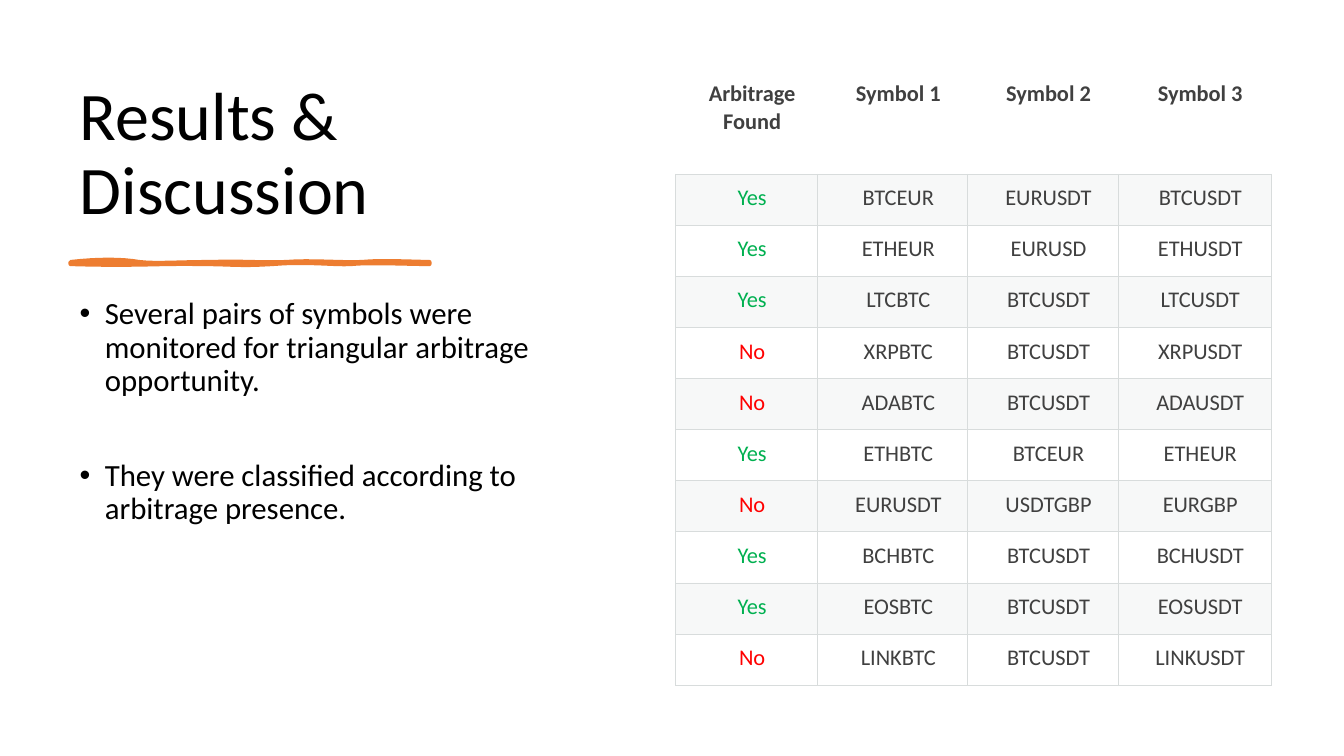
from dataclasses import dataclass

from lxml import etree
from pptx import Presentation
from pptx.dml.color import RGBColor
from pptx.enum.text import MSO_ANCHOR, MSO_AUTO_SIZE, PP_ALIGN
from pptx.oxml.ns import qn
from pptx.util import Emu, Inches, Pt

LEFT, CENTER = PP_ALIGN.LEFT, PP_ALIGN.CENTER
TOP, BOTTOM = MSO_ANCHOR.TOP, MSO_ANCHOR.BOTTOM
NO_FIT = MSO_AUTO_SIZE.NONE

FONT = "Calibri"
COLORS = {
    "text": "000000",
    "cell": "404040",
    "Yes": "00B050",
    "No": "FF0000",
    "accent": "ED7D31",
    "border": "D8DCDC",
    "band": "D8DEDC",
}
HEADERS = ["Arbitrage Found", "Symbol 1", "Symbol 2", "Symbol 3"]
COLUMN_WIDTHS = [1.41, 1.49, 1.49, 1.52]
HEADER_HEIGHT = 1.03
BULLETS = [
    "Several pairs of symbols were monitored for triangular arbitrage opportunity.",
    "They were classified according to arbitrage presence.",
]
UNDERLINE_START = (0.7, 2.6)
UNDERLINE_CURVES = [
    ((0.97, 2.57), (1.21, 2.57), (1.38, 2.6)),
    ((1.55, 2.62), (1.77, 2.6), (2.09, 2.6)),
    ((2.41, 2.59), (2.6, 2.61), (2.84, 2.6)),
    ((3.08, 2.58), (3.39, 2.61), (3.59, 2.6)),
    ((3.79, 2.58), (4.12, 2.6), (4.26, 2.6)),
    ((4.26, 2.6), (4.26, 2.61), (4.26, 2.62)),
    ((4.08, 2.62), (3.64, 2.6), (3.48, 2.62)),
    ((3.32, 2.63), (3.04, 2.59), (2.7, 2.62)),
    ((2.35, 2.64), (2.31, 2.62), (1.99, 2.62)),
    ((1.66, 2.61), (1.32, 2.64), (0.7, 2.62)),
]


@dataclass(frozen=True)
class Box:
    left: float
    top: float
    width: float
    height: float

    def lengths(self) -> list[Emu]:
        return [Inches(v) for v in (self.left, self.top, self.width, self.height)]


@dataclass(frozen=True)
class Result:
    found: str
    symbols: tuple[str, str, str]


TITLE_BOX = Box(0.69, 0.7, 5.27, 1.62)
BODY_BOX = Box(0.69, 2.91, 5.27, 3.88)
TABLE_BOX = Box(6.7, 0.7, 5.91, 6.1)
RESULTS = [
    Result("Yes", ("BTCEUR", "EURUSDT", "BTCUSDT")),
    Result("Yes", ("ETHEUR", "EURUSD", "ETHUSDT")),
    Result("Yes", ("LTCBTC", "BTCUSDT", "LTCUSDT")),
    Result("No", ("XRPBTC", "BTCUSDT", "XRPUSDT")),
    Result("No", ("ADABTC", "BTCUSDT", "ADAUSDT")),
    Result("Yes", ("ETHBTC", "BTCEUR", "ETHEUR")),
    Result("No", ("EURUSDT", "USDTGBP", "EURGBP")),
    Result("Yes", ("BCHBTC", "BTCUSDT", "BCHUSDT")),
    Result("Yes", ("EOSBTC", "BTCUSDT", "EOSUSDT")),
    Result("No", ("LINKBTC", "BTCUSDT", "LINKUSDT")),
]


def rgb(name: str) -> RGBColor:
    return RGBColor.from_string(COLORS[name])


def format_paragraph(p, size: float, color: str, align, bold: bool = False) -> None:
    p.alignment = align
    p.font.name = FONT
    p.font.size = Pt(size)
    p.font.bold = bold
    p.font.color.rgb = rgb(color)


def place(sp, box: Box, anchor):
    sp.left, sp.top, sp.width, sp.height = box.lengths()
    tf = sp.text_frame
    tf.word_wrap = True
    tf.auto_size = NO_FIT
    tf.vertical_anchor = anchor
    return tf


def draw_title(s) -> None:
    tf = place(s.shapes.title, TITLE_BOX, BOTTOM)
    tf.text = "Results & Discussion"
    p = tf.paragraphs[0]
    p.line_spacing = 0.9
    format_paragraph(p, 48.6, "text", LEFT)


def draw_bullets(s) -> None:
    tf = place(s.placeholders[1], BODY_BOX, TOP)
    tf.text = "\n".join(BULLETS)
    indent = Inches(0.25)
    for i, p in enumerate(tf.paragraphs):
        format_paragraph(p, 22, "text", LEFT)
        p.line_spacing = 0.9
        p.space_before = Pt(44 if i else 10)
        pPr = p._p.get_or_add_pPr()
        pPr.set("marL", str(indent))
        pPr.set("indent", str(-indent))


def curve_points(start, curves, steps: int = 8) -> list[tuple[Emu, Emu]]:
    points = []
    for a, b, end in curves:
        for i in range(1, steps + 1):
            t = i / steps
            u = 1 - t
            weights = (u**3, 3 * u * u * t, 3 * u * t * t, t**3)
            x, y = (sum(w * v for w, v in zip(weights, axis)) for axis in zip(start, a, b, end))
            points.append((Inches(x), Inches(y)))
        start = end
    return points


def draw_underline(s) -> None:
    x, y = UNDERLINE_START
    builder = s.shapes.build_freeform(Inches(x), Inches(y))
    builder.add_line_segments(curve_points(UNDERLINE_START, UNDERLINE_CURVES), close=True)
    sp = builder.convert_to_shape()
    sp.shadow.inherit = False
    sp.fill.solid()
    sp.fill.fore_color.rgb = rgb("accent")
    sp.line.color.rgb = rgb("accent")
    sp.line.width = Pt(3)
    etree.SubElement(sp.line._get_or_add_ln(), qn("a:round"))


def set_borders(cell, sides: list[str]) -> None:
    tcPr = cell._tc.get_or_add_tcPr()
    for i, side in enumerate(sides):
        ln = etree.Element(qn(f"a:ln{side}"), w=str(Pt(0.75)))
        fill = etree.SubElement(ln, qn("a:solidFill"))
        etree.SubElement(fill, qn("a:srgbClr"), val=COLORS["border"])
        tcPr.insert(i, ln)


def fill_cell(cell, banded: bool) -> None:
    if not banded:
        cell.fill.background()
        return
    cell.fill.solid()
    cell.fill.fore_color.rgb = rgb("band")
    color = cell._tc.tcPr.find(f"{qn('a:solidFill')}/{qn('a:srgbClr')}")
    etree.SubElement(color, qn("a:alpha"), val="20000")


def draw_table(s) -> None:
    rows = [HEADERS] + [[r.found, *r.symbols] for r in RESULTS]
    table = s.shapes.add_table(len(rows), len(HEADERS), *TABLE_BOX.lengths()).table
    table.first_row = False
    table.horz_banding = False
    for column, width in zip(table.columns, COLUMN_WIDTHS):
        column.width = Inches(width)
    row_height = (TABLE_BOX.height - HEADER_HEIGHT) / len(RESULTS)
    for i, values in enumerate(rows):
        header = i == 0
        table.rows[i].height = Inches(HEADER_HEIGHT if header else row_height)
        for j, value in enumerate(values):
            cell = table.cell(i, j)
            cell.text = value
            cell.vertical_anchor = TOP
            cell.margin_left = Inches(0.21)
            cell.margin_top = cell.margin_right = cell.margin_bottom = Inches(0.1)
            color = value if value in COLORS else "cell"
            format_paragraph(cell.text_frame.paragraphs[0], 16, color, CENTER, header)
            fill_cell(cell, i % 2 == 1)
            set_borders(cell, ["B"] if header else ["L", "R", "T", "B"])


def main() -> None:
    prs = Presentation()
    prs.slide_width = Inches(13.33)
    prs.slide_height = Inches(7.5)
    s = prs.slides.add_slide(prs.slide_layouts[1])
    draw_title(s)
    draw_underline(s)
    draw_bullets(s)
    draw_table(s)
    prs.save("out.pptx")


if __name__ == "__main__":
    main()
